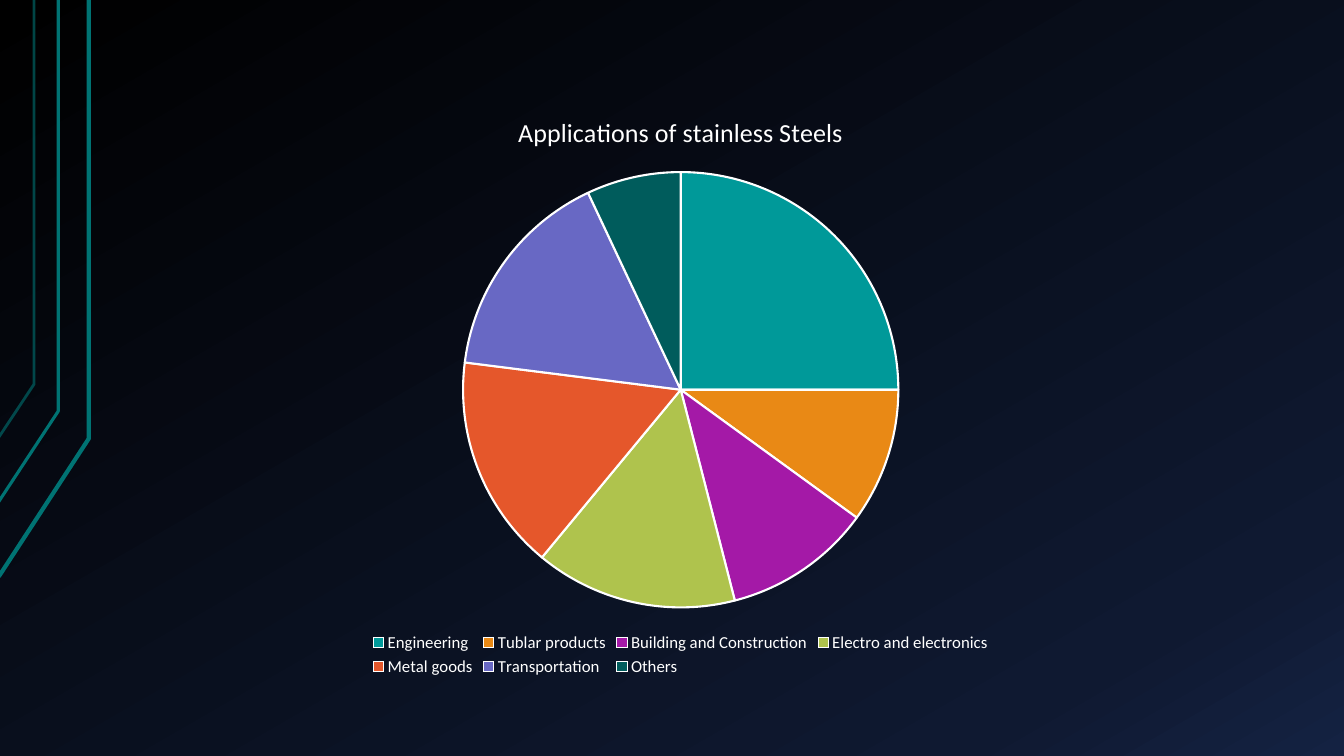
from dataclasses import dataclass

from lxml import etree
from pptx import Presentation
from pptx.chart.data import CategoryChartData
from pptx.dml.color import RGBColor
from pptx.enum.chart import XL_CHART_TYPE, XL_LEGEND_POSITION
from pptx.oxml.ns import qn
from pptx.util import Cm, Pt

PIE = XL_CHART_TYPE.PIE
LEGEND_BOTTOM = XL_LEGEND_POSITION.BOTTOM
BLANK_LAYOUT = 6


@dataclass(frozen=True)
class Theme:
    font: str = "Calibri"
    text: str = "FFFFFF"
    accent: str = "007373"
    # (position in percent, colour)
    backdrop: tuple = ((0, "000000"), (85, "0F1931"), (100, "142242"))
    backdrop_angle: int = 60
    slices: tuple = ("009999", "E98915", "A419A7", "AFC34D",
                     "E5572B", "6868C4", "005C5C")
    slice_border: float = 1.5
    base_size: float = 10
    legend_size: float = 12
    title_size: float = 18.6


class SlideBuilder:
    def __init__(self, slide, theme):
        self.slide = slide
        self.theme = theme

    def style_font(self, font, size):
        font.name = self.theme.font
        font.size = Pt(size)
        font.bold = False
        font.color.rgb = RGBColor.from_string(self.theme.text)

    def gradient_background(self):
        fill = self.slide.background.fill
        fill.gradient()
        # Gradient angles are counter-clockwise in python-pptx
        fill.gradient_angle = 360 - self.theme.backdrop_angle
        stops = self.slide.background._cSld.find(".//" + qn("a:gsLst"))
        for stop in list(stops):
            stops.remove(stop)
        for percent, colour in self.theme.backdrop:
            stop = etree.SubElement(stops, qn("a:gs"), pos=str(percent * 1000))
            etree.SubElement(stop, qn("a:srgbClr"), val=colour)

    def bent_line(self, points, width, opacity):
        """Draw an open outline through points in cm; opacity is in percent."""
        start, *rest = [(Cm(x), Cm(y)) for x, y in points]
        builder = self.slide.shapes.build_freeform(*start)
        builder.add_line_segments(rest, close=False)
        outline = builder.convert_to_shape()
        outline.shadow.inherit = False
        outline.fill.background()
        outline.line.width = Pt(width)
        outline.line.color.rgb = RGBColor.from_string(self.theme.accent)
        if opacity < 100:
            colour = outline.line._ln.find(".//" + qn("a:srgbClr"))
            etree.SubElement(colour, qn("a:alpha"), val=str(opacity * 1000))

    def pie_chart(self, title, shares, left, top, width, height):
        theme = self.theme
        chart_data = CategoryChartData()
        chart_data.categories = list(shares)
        chart_data.add_series(title, list(shares.values()))
        chart = self.slide.shapes.add_chart(
            PIE, Cm(left), Cm(top), Cm(width), Cm(height), chart_data).chart
        self.style_font(chart.font, theme.base_size)

        chart.has_title = True
        heading = chart.chart_title.text_frame
        heading.text = title
        self.style_font(heading.paragraphs[0].runs[0].font, theme.title_size)
        chart.chart_title.include_in_layout = False

        chart.has_legend = True
        chart.legend.position = LEGEND_BOTTOM
        chart.legend.include_in_layout = False
        self.style_font(chart.legend.font, theme.legend_size)

        plot = chart.plots[0]
        plot.vary_by_categories = True
        for index, colour in enumerate(theme.slices):
            slice_format = plot.series[0].points[index].format
            slice_format.fill.solid()
            slice_format.fill.fore_color.rgb = RGBColor.from_string(colour)
            slice_format.line.width = Pt(theme.slice_border)
            slice_format.line.color.rgb = RGBColor.from_string(theme.text)


# Each line: x of the upright, y of the bend, left end, width in pt, opacity
CIRCUIT_LINES = (
    (2.24, 11.05, (-0.03, 14.53), 3, 100),
    (1.47, 10.36, (-0.05, 12.67), 2.25, 100),
    (0.86, 9.68, (-0.03, 11.02), 2, 60),
)

STEEL_USES = {
    "Engineering": 25,
    "Tublar products": 10,
    "Building and Construction": 11,
    "Electro and electronics": 15,
    "Metal goods": 16,
    "Transportation": 16,
    "Others": 7,
}


def main():
    presentation = Presentation()
    presentation.slide_width = Cm(33.87)
    presentation.slide_height = Cm(19.05)
    slide = presentation.slides.add_slide(
        presentation.slide_layouts[BLANK_LAYOUT])

    builder = SlideBuilder(slide, Theme())
    builder.gradient_background()
    for upright_x, bend_y, left_end, width, opacity in CIRCUIT_LINES:
        builder.bent_line((left_end, (upright_x, bend_y), (upright_x, 0)),
                          width, opacity)
    builder.pie_chart("Applications of stainless Steels", STEEL_USES,
                      left=2.13, top=2.34, width=30.05, height=14.81)

    presentation.save("out.pptx")


if __name__ == "__main__":
    main()
